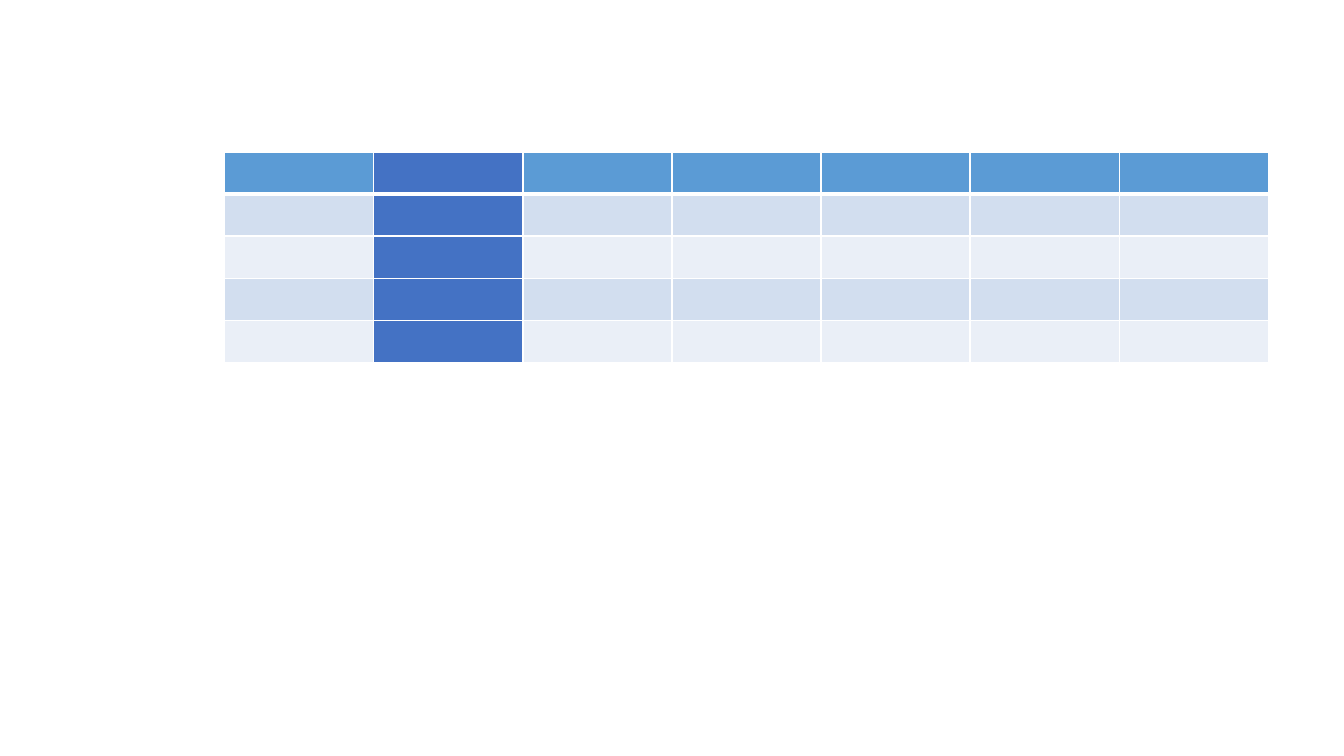
import pptx
import pptx.dml.color
import pptx.oxml.ns
import pptx.util
from lxml import etree

Inches = pptx.util.Inches
Pt = pptx.util.Pt

COLORS = {
    "header": "5B9BD5",
    "highlight": "4472C4",
    "band_dark": "D2DEEF",
    "band_light": "EAEFF7",
    "border": "FFFFFF",
}
ROWS, COLUMNS = 5, 7
HIGHLIGHT_COLUMN = 1


def add_element(parent, tag, **attributes):
    return etree.SubElement(parent, pptx.oxml.ns.qn(tag), **attributes)


def cell_color(row, column):
    if column == HIGHLIGHT_COLUMN:
        return COLORS["highlight"]
    if row == 0:
        return COLORS["header"]
    return COLORS["band_dark"] if row % 2 else COLORS["band_light"]


def set_borders(cell, row):
    # The rule between header and body is thicker than the rest
    widths = {
        "L": 1,
        "R": 1,
        "T": 3 if row == 1 else 1,
        "B": 3 if row == 0 else 1,
    }
    properties = cell._tc.get_or_add_tcPr()
    for side, width in widths.items():
        line = add_element(properties, f"a:ln{side}", w=str(Pt(width)))
        fill = add_element(line, "a:solidFill")
        add_element(fill, "a:srgbClr", val=COLORS["border"])


def add_banded_table(page, left, top, width, height):
    frame = page.shapes.add_table(ROWS, COLUMNS, left, top, width, height)
    table = frame.table
    table.first_row = False
    table.horz_banding = False

    for row in range(ROWS):
        for column in range(COLUMNS):
            cell = table.cell(row, column)
            set_borders(cell, row)
            cell.fill.solid()
            cell.fill.fore_color.rgb = pptx.dml.color.RGBColor.from_string(
                cell_color(row, column))

            # A small size for empty cells keeps the rows at their height
            paragraph = cell.text_frame.paragraphs[0]
            end = add_element(paragraph._p, "a:endParaRPr", sz="1200")
            add_element(end, "a:latin", typeface="Calibri")


def main():
    deck = pptx.Presentation()
    # Widescreen, 16 to 9
    deck.slide_width = Inches(10)
    deck.slide_height = deck.slide_width * 9 // 16
    page = deck.slides.add_slide(deck.slide_layouts[6])
    add_banded_table(page, Inches(1.67), Inches(1.13), Inches(7.77), Inches(1.57))
    deck.save("out.pptx")


if __name__ == "__main__":
    main()
